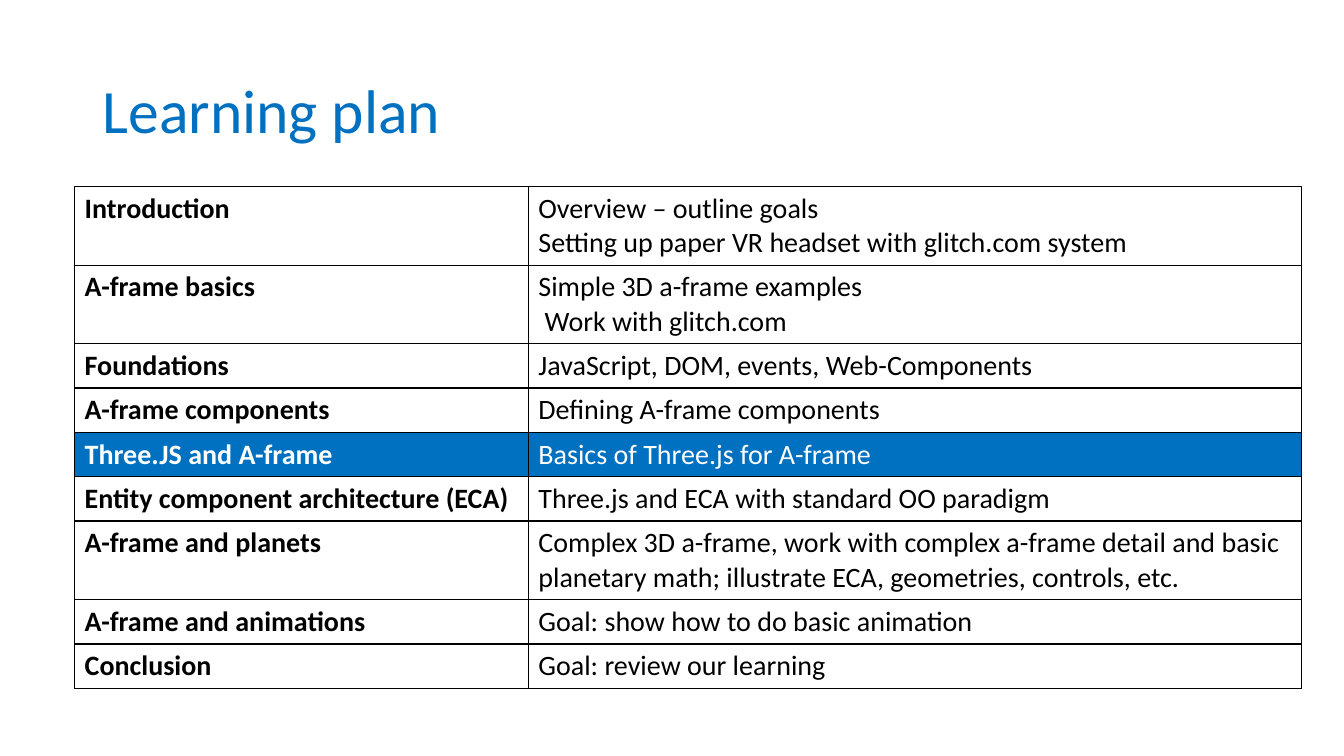
from lxml.etree import SubElement
from pptx import Presentation
from pptx.dml.color import RGBColor
from pptx.enum.text import MSO_ANCHOR
from pptx.oxml.ns import qn
from pptx.util import Pt

PX = 9144  # EMU per px, 100 px to the inch
BLUE = RGBColor(0x00, 0x70, 0xC0)
BLACK = RGBColor(0x00, 0x00, 0x00)
WHITE = RGBColor(0xFF, 0xFF, 0xFF)
FONT = "Calibri"

COLUMN_WIDTHS = (450, 767)
LINE_HEIGHT, ROW_PADDING = 34, 10
CURRENT_TOPIC = "Three.JS and A-frame"
# Topic, content, lines of text the row takes
PLAN = (
    ("Introduction",
     "Overview – outline goals\nSetting up paper VR headset with glitch.com system", 2),
    ("A-frame basics", "Simple 3D a-frame examples\n Work with glitch.com", 2),
    ("Foundations", "JavaScript, DOM, events, Web-Components", 1),
    ("A-frame components", "Defining A-frame components", 1),
    (CURRENT_TOPIC, "Basics of Three.js for A-frame", 1),
    ("Entity component architecture (ECA)",
     "Three.js and ECA with standard OO paradigm", 1),
    ("A-frame and planets",
     "Complex 3D a-frame, work with complex a-frame detail and basic planetary math; "
     "illustrate ECA, geometries, controls, etc.", 2),
    ("A-frame and animations", "Goal: show how to do basic animation", 1),
    ("Conclusion", "Goal: review our learning", 1),
)


def px(*lengths):
    return [length * PX for length in lengths]


def style_text(frame, size, color, bold=False):
    for para in frame.paragraphs:
        para.font.name = FONT
        para.font.size = Pt(size)
        para.font.bold = bold
        para.font.color.rgb = color


def add_title(page, text):
    frame = page.shapes.add_textbox(*px(92, 40, 1150, 145)).text_frame
    frame.word_wrap = True
    frame.vertical_anchor = MSO_ANCHOR.MIDDLE
    frame.text = text
    frame.paragraphs[0].line_spacing = 0.9
    style_text(frame, 44, BLUE)


def add_borders(cell):
    properties = cell._tc.get_or_add_tcPr()
    for side in ("a:lnL", "a:lnR", "a:lnT", "a:lnB"):
        line = SubElement(properties, qn(side), w=str(Pt(1)))
        fill = SubElement(line, qn("a:solidFill"))
        SubElement(fill, qn("a:srgbClr"), val=str(BLACK))


def fill_cell(cell, text, bold, highlighted):
    cell.text = text
    style_text(cell.text_frame, 20, WHITE if highlighted else BLACK, bold)
    add_borders(cell)
    if highlighted:
        cell.fill.solid()
        cell.fill.fore_color.rgb = BLUE
    else:
        cell.fill.background()


def add_plan_table(page):
    heights = [lines * LINE_HEIGHT + ROW_PADDING for _, _, lines in PLAN]
    area = px(74, 185, sum(COLUMN_WIDTHS), sum(heights))
    table = page.shapes.add_table(len(PLAN), len(COLUMN_WIDTHS), *area).table
    table.first_row = table.horz_banding = False
    for column, width in zip(table.columns, px(*COLUMN_WIDTHS)):
        column.width = width
    for row, height, (topic, content, _) in zip(table.rows, px(*heights), PLAN):
        row.height = height
        highlighted = topic == CURRENT_TOPIC
        fill_cell(row.cells[0], topic, True, highlighted)
        fill_cell(row.cells[1], content, False, highlighted)


def main():
    deck = Presentation()
    deck.slide_width, deck.slide_height = px(1333, 750)
    page = deck.slides.add_slide(deck.slide_layouts[6])
    add_title(page, "Learning plan")
    add_plan_table(page)
    deck.save("out.pptx")


if __name__ == "__main__":
    main()
